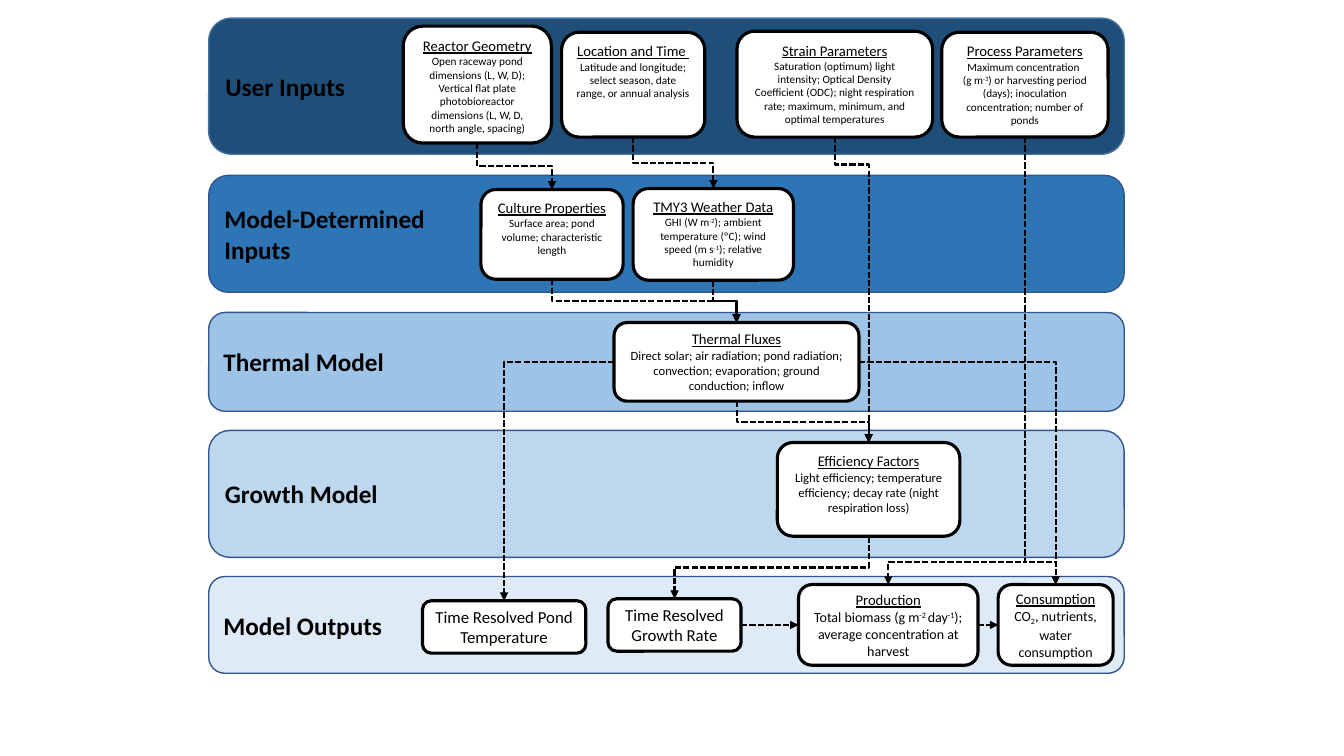
from lxml import etree
from pptx import Presentation
from pptx import util as u
from pptx.dml.color import RGBColor
from pptx.enum import dml, shapes, text
from pptx.oxml import ns

BLACK = RGBColor(0, 0, 0)
WHITE = RGBColor(0xFF, 0xFF, 0xFF)
NAVY = RGBColor(0x1F, 0x4E, 0x79)
BLUE = RGBColor(0x2E, 0x75, 0xB6)
MID_BLUE = RGBColor(0x9D, 0xC3, 0xE6)
LIGHT_BLUE = RGBColor(0xBD, 0xD7, 0xEE)
PALE_BLUE = RGBColor(0xDE, 0xEB, 0xF7)
NAVY_EDGE = RGBColor(0x43, 0x73, 0x9E)
BAND_EDGE = RGBColor(0x32, 0x54, 0x91)
BAND_LEFT, BAND_WIDTH = 2.07, 9.08
BASELINES = {"^": "30000", "_": "-25000"}
TOP, MIDDLE = text.MSO_ANCHOR.TOP, text.MSO_ANCHOR.MIDDLE

# Bands: label lines, top, height, fill, edge
BANDS = {
    "inputs": (["User Inputs"], 0.18, 1.35, NAVY, NAVY_EDGE),
    "derived": (["Model-Determined", "Inputs"], 1.74, 1.16, BLUE, BAND_EDGE),
    "thermal": (["Thermal Model"], 3.1, 0.98, MID_BLUE, BAND_EDGE),
    "growth": (["Growth Model"], 4.27, 1.26, LIGHT_BLUE, BAND_EDGE),
    "outputs": (["Model Outputs"], 5.72, 0.96, PALE_BLUE, BAND_EDGE),
}

# Cards by band: key, (left, top in band, width, height), title, body lines, body size, anchor
# In the body, |^x| is superscript and |_x| is subscript.
CARDS = {
    "inputs": [
        ("reactor", (1.93, 0.08, 1.47, 1.16), "Reactor Geometry",
         ["Open raceway pond dimensions (L, W, D); Vertical flat plate photobioreactor "
          "dimensions (L, W, D, north angle, spacing)"], 8, TOP),
        ("location", (3.5, 0.14, 1.42, 1.04), "Location and Time ",
         ["Latitude and longitude; select season, date range, or annual analysis"], 8, TOP),
        ("strain", (5.24, 0.13, 1.94, 1.05), "Strain Parameters",
         ["Saturation (optimum) light intensity; Optical Density Coefficient (ODC); night "
          "respiration rate; maximum, minimum, and optimal temperatures"], 8, TOP),
        ("process", (7.27, 0.14, 1.65, 1.04), "Process Parameters",
         ["Maximum concentration ", "(g m|^-3|) or harvesting period (days); inoculation "
          "concentration; number of ponds"], 8, TOP),
    ],
    "derived": [
        ("culture", (2.7, 0.14, 1.41, 0.89), "Culture Properties",
         ["Surface area; pond volume; characteristic length"], 8, TOP),
        ("weather", (4.21, 0.13, 1.59, 0.91), "TMY3 Weather Data",
         ["GHI (W m|^-2|); ambient temperature (ºC); wind speed (m s|^-1|); "
          "relative humidity"], 8, TOP),
    ],
    "thermal": [
        ("fluxes", (4.02, 0.1, 2.43, 0.78), "Thermal Fluxes",
         ["Direct solar; air radiation; pond radiation; convection; evaporation; "
          "ground conduction; inflow"], 9, MIDDLE),
    ],
    "growth": [
        ("efficiency", (5.64, 0.12, 1.81, 0.93), "Efficiency Factors",
         ["Light efficiency; temperature efficiency; decay rate (night respiration loss)"],
         9, TOP),
    ],
    "outputs": [
        ("temperature", (2.12, 0.24, 1.62, 0.52), None,
         ["Time Resolved Pond Temperature"], 12, MIDDLE),
        ("rate", (3.96, 0.22, 1.32, 0.52), None, ["Time Resolved Growth Rate"], 12, MIDDLE),
        ("production", (5.85, 0.08, 1.78, 0.8), "Production",
         ["Total biomass (g m|^-2 |day|^-1|); average concentration at harvest"], 10, MIDDLE),
        ("consumption", (7.83, 0.08, 1.14, 0.8), "Consumption",
         ["CO|_2|, nutrients, water consumption"], 10, MIDDLE),
    ],
}

# Down, across, down: source, target, share of the drop before the turn
STEPS = [
    ("reactor", "culture", 0.5), ("location", "weather", 0.5),
    ("weather", "fluxes", 0.5), ("culture", "fluxes", 0.5),
    ("fluxes", "efficiency", 0.5), ("strain", "efficiency", 0.09),
    ("efficiency", "rate", 0.5), ("process", "production", 0.95),
    ("process", "consumption", 0.95),
]


def add_panel(page, box, fill, edge, weight, anchor):
    panel = page.shapes.add_shape(shapes.MSO_SHAPE.ROUNDED_RECTANGLE, *map(u.Inches, box))
    panel.shadow.inherit = False
    panel.fill.solid()
    panel.fill.fore_color.rgb = fill
    panel.line.color.rgb = edge
    panel.line.width = u.Pt(weight)
    panel.text_frame.word_wrap = True
    panel.text_frame.vertical_anchor = anchor
    if anchor == MIDDLE:
        panel.text_frame.margin_top = panel.text_frame.margin_bottom = 0
    return panel


def write_lines(panel, lines, align):
    """Each line is (text, size, bold, underline)."""
    frame = panel.text_frame
    frame.text = "\n".join("" for _ in lines)
    for para, (words, size, bold, underline) in zip(frame.paragraphs, lines):
        para.alignment = align
        for piece in words.split("|"):
            span = para.add_run()
            span.text = piece.lstrip("^_")
            span.font.name = "Calibri"
            span.font.size = u.Pt(size)
            span.font.bold = bold
            span.font.underline = underline
            span.font.color.rgb = BLACK
            if piece[0] in BASELINES:
                span._r.get_or_add_rPr().set("baseline", BASELINES[piece[0]])


def draw_band(page, box, label, fill, edge, cards):
    """Draw a band with its cards; return the card boxes by key."""
    panel = add_panel(page, box, fill, edge, 1, MIDDLE)
    write_lines(panel, [(words, 18, True, False) for words in label], text.PP_ALIGN.LEFT)
    placed = {}
    for key, (left, top, width, height), title, body, size, anchor in cards:
        placed[key] = (box[0] + left, box[1] + top, width, height)
        card = add_panel(page, placed[key], WHITE, BLACK, 2.25, anchor)
        lines = [(title, 10.5, False, True)] if title else []
        lines += [(words, size, False, False) for words in body]
        write_lines(card, lines, text.PP_ALIGN.CENTER)
    return placed


def side(box, across, down):
    """Point at the given shares of a box's width and height."""
    return box[0] + across * box[2], box[1] + down * box[3]


def add_arrow(page, start, end, kind=shapes.MSO_CONNECTOR.STRAIGHT):
    arrow = page.shapes.add_connector(kind, *map(u.Inches, start + end))
    arrow.line.color.rgb = BLACK
    arrow.line.width = u.Pt(1.5)
    arrow.line.dash_style = dml.MSO_LINE.SQUARE_DOT
    etree.SubElement(arrow.line._get_or_add_ln(), ns.qn("a:tailEnd"), type="triangle")
    etree.SubElement(arrow._element.spPr, ns.qn("a:effectLst"))
    return arrow


def add_corner(page, start, end):
    """Across, then down."""
    arrow = add_arrow(page, start, end, shapes.MSO_CONNECTOR.ELBOW)
    arrow._element.spPr.find(ns.qn("a:prstGeom")).set("prst", "bentConnector2")


def add_step(page, start, end, turn):
    """Down, across, down: an elbow turned by a quarter about its centre."""
    arrow = add_arrow(page, start, end, shapes.MSO_CONNECTOR.ELBOW)
    run, drop = end[0] - start[0], end[1] - start[1]
    arrow.left = u.Inches((start[0] + end[0] - drop) / 2)
    arrow.top = u.Inches((start[1] + end[1] - abs(run)) / 2)
    arrow.width, arrow.height = u.Inches(drop), u.Inches(abs(run))
    frame = arrow._element.spPr.find(ns.qn("a:xfrm"))
    frame.set("rot", "16200000" if run > 0 else "5400000")
    frame.set("flipH", "1" if run > 0 else "0")
    geometry = arrow._element.spPr.find(ns.qn("a:prstGeom"))
    guides = geometry.find(ns.qn("a:avLst"))
    if guides is None:
        guides = etree.SubElement(geometry, ns.qn("a:avLst"))
    etree.SubElement(guides, ns.qn("a:gd"), name="adj1", fmla=f"val {round(turn * 100000)}")


def draw_flow(page, cards):
    for source, target, turn in STEPS:
        add_step(page, side(cards[source], 0.5, 1), side(cards[target], 0.5, 0), turn)
    add_corner(page, side(cards["fluxes"], 0, 0.5), side(cards["temperature"], 0.5, 0))
    add_corner(page, side(cards["fluxes"], 1, 0.5), side(cards["consumption"], 0.5, 0))
    for source, target in [("rate", "production"), ("production", "consumption")]:
        start, end = side(cards[source], 1, 0.5), side(cards[target], 0, 0.5)
        add_arrow(page, (start[0], end[1]), end)


deck = Presentation()
deck.slide_width, deck.slide_height = u.Inches(13.33), u.Inches(7.5)
page = deck.slides.add_slide(deck.slide_layouts[6])
cards = {}
for name, (label, top, height, fill, edge) in BANDS.items():
    band_box = (BAND_LEFT, top, BAND_WIDTH, height)
    cards.update(draw_band(page, band_box, label, fill, edge, CARDS[name]))
draw_flow(page, cards)
deck.save("out.pptx")
